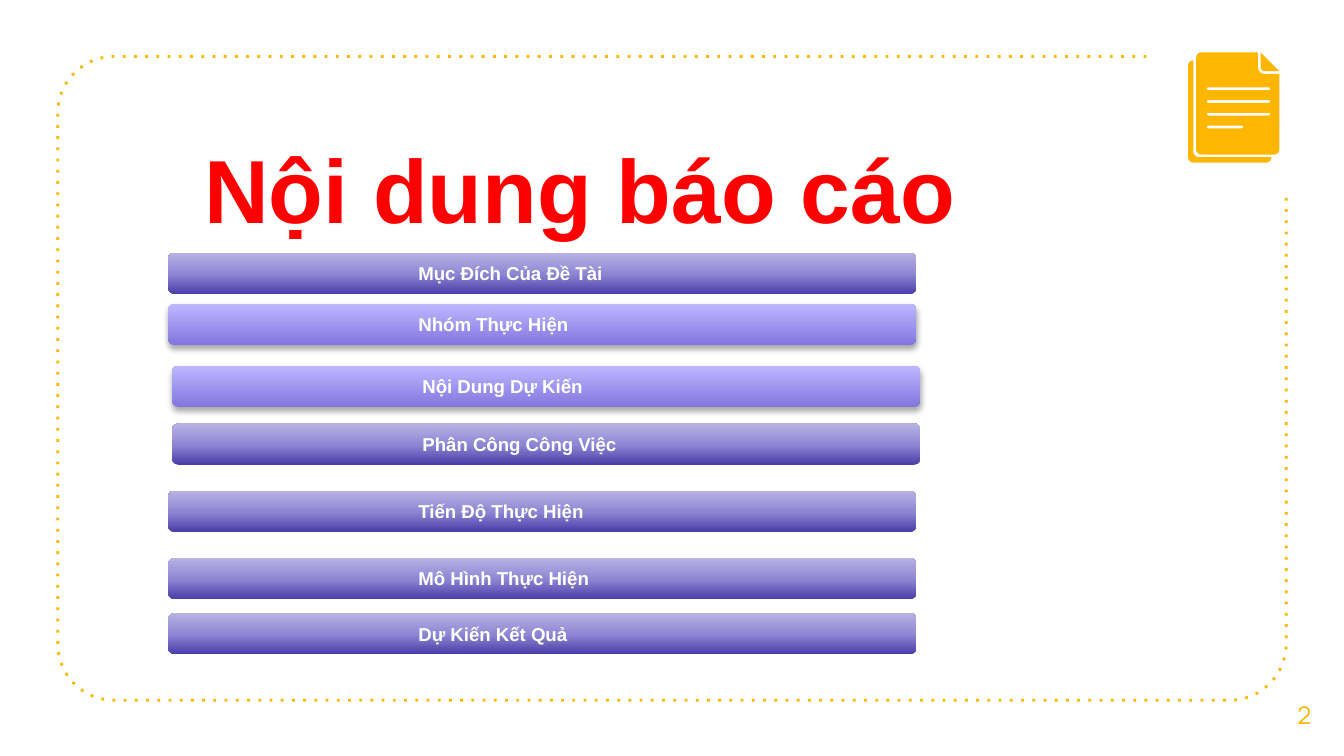
from dataclasses import dataclass
from math import cos, radians, sin

from lxml import etree
from pptx import Presentation
from pptx.dml.color import RGBColor
from pptx.enum.shapes import MSO_SHAPE
from pptx.enum.text import MSO_ANCHOR, MSO_AUTO_SIZE, PP_ALIGN
from pptx.oxml import parse_xml
from pptx.oxml.ns import nsdecls, qn
from pptx.util import Inches, Pt

ROUND_RECT = MSO_SHAPE.ROUNDED_RECTANGLE
TOP, MIDDLE = MSO_ANCHOR.TOP, MSO_ANCHOR.MIDDLE
NO_FIT = MSO_AUTO_SIZE.NONE
LEFT, CENTER = PP_ALIGN.LEFT, PP_ALIGN.CENTER


@dataclass(frozen=True)
class Theme:
    """Colours, fonts and type sizes of the deck."""
    accent: str = "FFB600"
    title: str = "FF0000"
    bar_text: str = "FFFFFF"
    deep: tuple = ((0, "493CA7"), (48, "8E85D3"), (100, "B9B3E4"))
    light: tuple = ((0, "8275DE"), (100, "BFB8FF"))
    font: str = "Arial"
    number_font: str = "Manrope"
    title_size: int = 48
    bar_size: int = 10
    number_size: int = 13


def arc(cx, cy, r, start, end, steps=8):
    """Return points on an arc, with degrees running clockwise on screen."""
    angles = [radians(start + (end - start) * i / steps) for i in range(steps + 1)]
    return [(cx + r * cos(a), cy + r * sin(a)) for a in angles]


def pill(x, y, w, h):
    """Return the outline of a bar with round ends."""
    r = h / 2
    return arc(x + r, y + r, r, 90, 270) + arc(x + w - r, y + r, r, -90, 90)


class SlideBuilder:
    """Holds the theme and the current slide, and draws each kind of element."""

    def __init__(self, prs, theme):
        self.theme = theme
        self.slide = prs.slides.add_slide(prs.slide_layouts[5])

    def style(self, p, font, size, color, bold=False, align=LEFT):
        p.alignment = align
        p.font.name, p.font.size, p.font.bold = font, Pt(size), bold
        p.font.color.rgb = RGBColor.from_string(color)

    def pad(self, tf):
        tf.margin_left = tf.margin_right = tf.margin_top = tf.margin_bottom = Inches(0.1)

    def title(self, text, x, y, w, h):
        sp = self.slide.shapes.title
        sp.left, sp.top, sp.width, sp.height = map(Inches, (x, y, w, h))
        tf = sp.text_frame
        tf.text = text
        tf.auto_size, tf.vertical_anchor = NO_FIT, TOP
        self.pad(tf)
        t = self.theme
        self.style(tf.paragraphs[0], t.font, t.title_size, t.title, bold=True)

    def outline(self, shapes, contours, closed=True):
        paths = [[(Inches(x), Inches(y)) for x, y in c] for c in contours]
        builder = shapes.build_freeform(*paths[0][0], scale=1.0)
        builder.add_line_segments(paths[0][1:], close=closed)
        for path in paths[1:]:
            builder.move_to(*path[0])
            builder.add_line_segments(path[1:], close=closed)
        sp = builder.convert_to_shape()
        sp.shadow.inherit = False
        color = RGBColor.from_string(self.theme.accent)
        if closed:
            sp.fill.solid()
            sp.fill.fore_color.rgb = color
            sp.line.fill.background()
        else:
            sp.fill.background()
            sp.line.color.rgb = color
            sp.line.width = Pt(1.5)
            ln = sp._element.spPr.find(qn("a:ln"))
            etree.SubElement(ln, qn("a:prstDash"), val="dot")

    def frame(self, left, top, right, bottom, r):
        points = [(8.53, top)]
        points += arc(left + r, top + r, r, 270, 180, 16)
        points += arc(left + r, bottom - r, r, 180, 90, 16)
        points += arc(right - r, bottom - r, r, 90, 0, 16)
        self.outline(self.slide.shapes, [points + [(right, 1.46)]], closed=False)

    def document_icon(self):
        shapes = self.slide.shapes.add_group_shape().shapes
        r = 0.04
        back = arc(8.88, 0.49, r, 270, 180) + arc(8.88, 1.17, r, 180, 90)
        back += arc(9.42, 1.17, r, 90, 0) + arc(8.92, 1.13, r, 90, 180)
        self.outline(shapes, [back + [(8.88, 0.45)]])
        page = arc(8.94, 0.43, r, 270, 180) + arc(8.94, 1.11, r, 180, 90)
        page += arc(9.48, 1.11, r, 90, 0) + [(9.52, 0.55)]
        page += arc(9.41, 0.5, 0.05, 90, 180) + [(9.36, 0.39)]
        widths = (0.47, 0.47, 0.47, 0.27)
        lines = [pill(8.98, 0.65 + 0.095 * i, w, 0.02) for i, w in enumerate(widths)]
        self.outline(shapes, [page] + lines)
        fold = [(9.38, 0.39)] + arc(9.41, 0.5, 0.03, 180, 90) + [(9.52, 0.53)]
        self.outline(shapes, [fold])

    def bar(self, text, x, y, stops, shadow):
        sp = self.slide.shapes.add_shape(ROUND_RECT, Inches(x), Inches(y), Inches(5.57), Inches(0.31))
        sp.shadow.inherit = False
        sp.line.fill.background()
        self.gradient(sp, stops)
        if shadow:
            self.drop_shadow(sp)
        tf = sp.text_frame
        tf.text, tf.vertical_anchor = text, MIDDLE
        p = tf.paragraphs[0]
        pPr = p._p.get_or_add_pPr()
        pPr.set("marL", "0")
        pPr.set("indent", str(Inches(1.75)))
        t = self.theme
        self.style(p, t.font, t.bar_size, t.bar_text, bold=True)

    def gradient(self, sp, stops):
        marks = "".join(
            f'<a:gs pos="{pos * 1000}"><a:srgbClr val="{color}"/></a:gs>' for pos, color in stops)
        fill = parse_xml(
            f'<a:gradFill {nsdecls("a")} rotWithShape="1"><a:gsLst>{marks}</a:gsLst>'
            '<a:lin ang="16200000" scaled="0"/></a:gradFill>')
        sp._element.spPr.find(qn("a:prstGeom")).addnext(fill)

    def drop_shadow(self, sp):
        effects = sp._element.spPr.find(qn("a:effectLst"))
        shadow = etree.SubElement(
            effects, qn("a:outerShdw"), blurRad=str(Pt(3.1)), dist=str(Pt(1.8)),
            dir="5400000", rotWithShape="0")
        color = etree.SubElement(shadow, qn("a:srgbClr"), val="000000")
        etree.SubElement(color, qn("a:alpha"), val="35000")

    def page_number(self, text, x, y, w, h):
        tf = self.slide.shapes.add_textbox(*map(Inches, (x, y, w, h))).text_frame
        tf.text, tf.word_wrap, tf.vertical_anchor = text, True, MIDDLE
        self.pad(tf)
        t = self.theme
        self.style(tf.paragraphs[0], t.number_font, t.number_size, t.accent, align=CENTER)


def main():
    """Build the agenda slide and save it."""
    prs = Presentation()
    prs.slide_width = Inches(10)
    prs.slide_height = prs.slide_width * 9 // 16
    theme = Theme()
    s = SlideBuilder(prs, theme)
    s.frame(0.43, 0.42, 9.57, 5.21, 0.42)
    s.title("Nội dung báo cáo", 1.42, 0.9, 7.01, 0.77)
    s.page_number("2", 9.41, 5.02, 0.59, 0.6)
    s.document_icon()
    agenda = (
        ("Mục Đích Của Đề Tài", 1.25, 1.88, False),
        ("Nhóm Thực Hiện", 1.25, 2.26, True),
        ("Nội Dung Dự Kiến", 1.28, 2.72, True),
        ("Phân Công Công Việc", 1.28, 3.15, False),
        ("Tiến Độ Thực Hiện", 1.25, 3.65, False),
        ("Mô Hình Thực Hiện", 1.25, 4.15, False),
        ("Dự Kiến Kết Quả", 1.25, 4.56, False),
    )
    for text, x, y, raised in agenda:
        s.bar(text, x, y, theme.light if raised else theme.deep, raised)
    prs.save("out.pptx")


if __name__ == "__main__":
    main()
